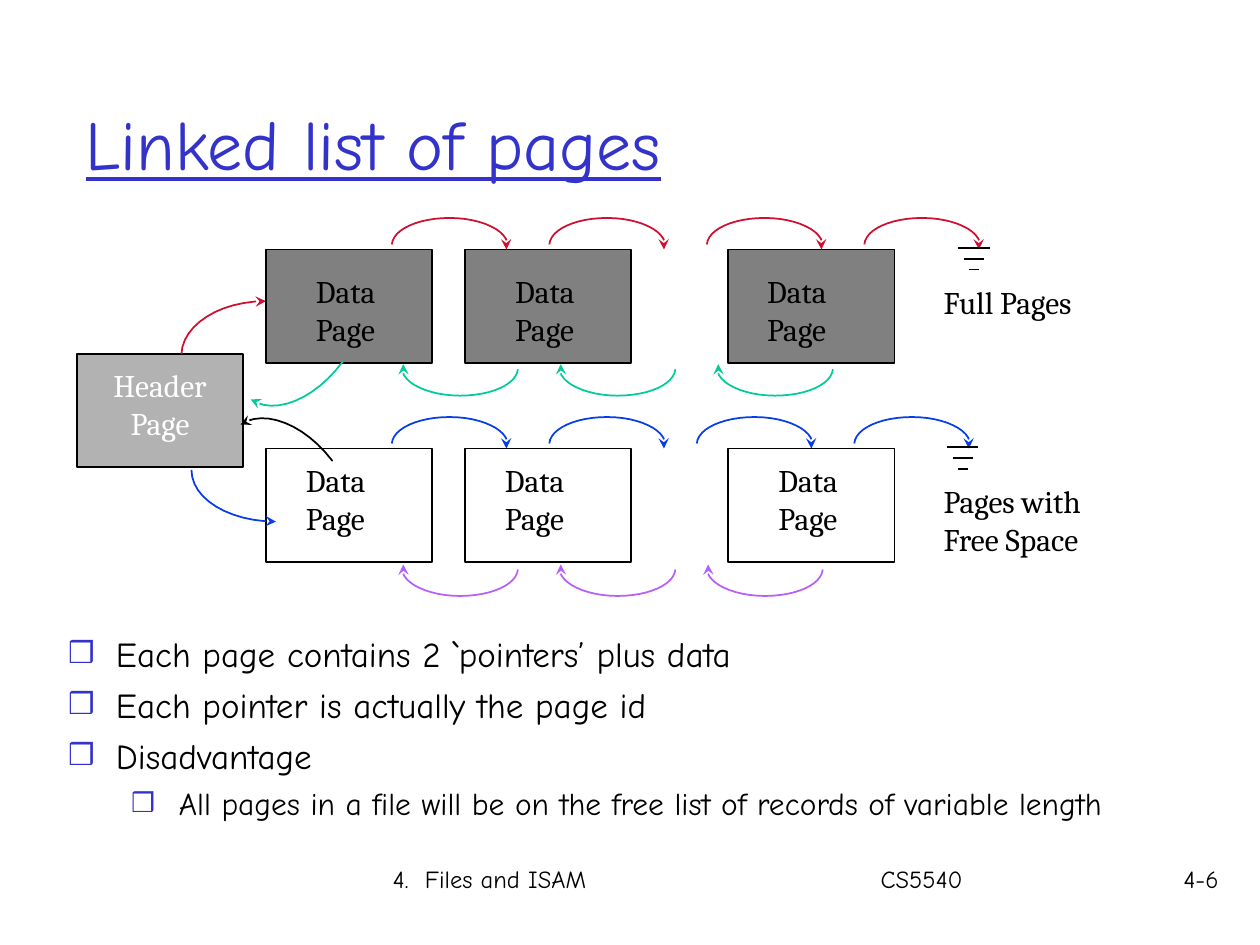
"""Build the slide that explains a heap file kept as linked lists of pages."""
import lxml.etree
import pptx
import pptx.dml.color
import pptx.enum.shapes
import pptx.enum.text
import pptx.oxml.ns
import pptx.util

Inches = pptx.util.Inches
Pt = pptx.util.Pt
RGBColor = pptx.dml.color.RGBColor
qn = pptx.oxml.ns.qn
ALIGN = pptx.enum.text.PP_ALIGN
RECTANGLE = pptx.enum.shapes.MSO_SHAPE.RECTANGLE
STRAIGHT = pptx.enum.shapes.MSO_CONNECTOR.STRAIGHT

COLORS = {
    "black": "000000", "white": "FFFFFF", "title": "3333CC",
    "full": "808080", "header": "B2B2B2", "red": "CF0E30",
    "green": "00CC99", "blue": "063DE8", "purple": "B760F9",
}
COLORS = {name: RGBColor.from_string(value) for name, value in COLORS.items()}
PAGE_WIDTH, PAGE_HEIGHT = 1.32, 0.9
PAGE_LEFTS = [2.11, 3.69, 5.78]
ARC_WIDTH, ARC_HEIGHT = 0.92, 0.25
ARC = [(0, 0.21), (0.01, 0.09), (0.21, 0), (0.46, 0), (0.71, 0),
       (0.92, 0.1), (0.92, 0.22), (0.92, 0.23), (0.92, 0.24), (0.91, 0.25)]


def write_text(frame, text, size=18, font="Cambria", color="black",
               align=ALIGN.LEFT, underline=None):
    """Fill a text frame with one formatted paragraph per line of text."""
    frame.text = text
    for paragraph in frame.paragraphs:
        paragraph.alignment = align
        for run in paragraph.runs:
            run.font.size = Pt(size)
            run.font.name = font
            run.font.color.rgb = COLORS[color]
            run.font.underline = underline


def draw_pointer(points, color, steps=12):
    """Draw an arrow along joined cubic curves."""
    track = [points[0]]
    for first in range(0, len(points) - 1, 3):
        curve = points[first:first + 4]
        for step in range(1, steps + 1):
            t = step / steps
            weights = [(1 - t) ** 3, 3 * t * (1 - t) ** 2, 3 * t * t * (1 - t), t ** 3]
            track.append([sum(w * point[axis] for w, point in zip(weights, curve))
                          for axis in (0, 1)])
    track = [(Inches(x), Inches(y)) for x, y in track]
    builder = slide.shapes.build_freeform(*track[0])
    builder.add_line_segments(track[1:], close=False)
    shape = builder.convert_to_shape()
    shape.shadow.inherit = False
    shape.fill.background()
    shape.line.color.rgb = COLORS[color]
    shape.line.width = Pt(1)
    line = shape._element.spPr.find(qn("a:ln"))
    lxml.etree.SubElement(line, qn("a:tailEnd"), type="stealth")


presentation = pptx.Presentation()
presentation.slide_width, presentation.slide_height = Inches(10), Inches(7.5)
slide = presentation.slides.add_slide(presentation.slide_layouts[1])

title, body = slide.placeholders
title.left, title.top, title.width, title.height = map(Inches, (0.58, 0.51, 8.5, 1.24))
title.text_frame.vertical_anchor = pptx.enum.text.MSO_ANCHOR.MIDDLE
write_text(title.text_frame, "Linked list of pages", size=40, font="Comic Neue",
           color="title", underline=True)

body.left, body.top, body.width, body.height = map(Inches, (0.44, 4.97, 8.76, 1.87))
body.text_frame.auto_size = pptx.enum.text.MSO_AUTO_SIZE.NONE
write_text(body.text_frame, "\n".join([
    "Each page contains 2 `pointers’ plus data",
    "Each pointer is actually the page id",
    "Disadvantage",
    "All pages in a file will be on the free list of records of variable length",
]), size=20, font="Comic Neue")
detail = body.text_frame.paragraphs[-1]
detail.level = 1
detail.runs[0].font.size = Pt(18)
for paragraph in body.text_frame.paragraphs:
    paragraph.space_before = Pt(4.5 if paragraph.level else 5)
    properties = paragraph._p.get_or_add_pPr()
    properties.set("marL", str(Inches(0.88 if paragraph.level else 0.38)))
    properties.set("indent", str(Inches(-0.38)))
    bullet_color = lxml.etree.SubElement(properties, qn("a:buClr"))
    lxml.etree.SubElement(bullet_color, qn("a:srgbClr"), val=str(COLORS["title"]))
    lxml.etree.SubElement(properties, qn("a:buSzPct"), val="85000")
    lxml.etree.SubElement(properties, qn("a:buChar"), char="❒")

pages = [(left, 1.98, "full") for left in PAGE_LEFTS]
pages += [(left, 3.56, None) for left in PAGE_LEFTS]
pages.append((0.61, 2.81, "header"))
for left, top, fill in pages:
    page = slide.shapes.add_shape(RECTANGLE, Inches(left), Inches(top),
                                  Inches(PAGE_WIDTH), Inches(PAGE_HEIGHT))
    page.shadow.inherit = False
    page.line.color.rgb = COLORS["black"]
    page.line.width = Pt(1)
    if fill:
        page.fill.solid()
        page.fill.fore_color.rgb = COLORS[fill]
    else:
        page.fill.background()

labels = [("Data\nPage", left, 2.11, 0.76, {}) for left in (2.41, 3.99, 5.99)]
labels += [("Data\nPage", left, 3.61, 0.76, {}) for left in (2.33, 3.91, 6.08)]
labels += [
    ("Header\nPage", 0.73, 2.86, 1.08, {"color": "white", "align": ALIGN.CENTER}),
    ("Full Pages", 7.39, 2.2, 1.4, {}),
    ("Pages with\nFree Space", 7.39, 3.78, 1.48, {}),
]
for text, left, top, width, text_format in labels:
    height = 0.7 if "\n" in text else 0.4
    label = slide.shapes.add_textbox(Inches(left), Inches(top), Inches(width), Inches(height))
    label.text_frame.word_wrap = False
    label.text_frame.auto_size = pptx.enum.text.MSO_AUTO_SIZE.SHAPE_TO_FIT_TEXT
    write_text(label.text_frame, text, **text_format)

chains = [
    (1.73, 2.89, [3.11, 4.36, 5.61, 6.86], "red", "green"),
    (3.31, 4.48, [3.11, 4.36, 5.53, 6.78], "blue", "purple"),
]
for next_top, previous_top, lefts, next_color, previous_color in chains:
    for left in lefts:
        draw_pointer([(left + x, next_top + y) for x, y in ARC], next_color)
    for left in lefts[:-1]:
        right, bottom = left + 0.08 + ARC_WIDTH, previous_top + ARC_HEIGHT
        draw_pointer([(right - x, bottom - y) for x, y in ARC], previous_color)

draw_pointer([(1.44, 2.81), (1.45, 2.58), (1.74, 2.39), (2.11, 2.39)], "red")
draw_pointer([(2.72, 2.87), (2.5, 3.17), (2.18, 3.3), (1.99, 3.17)], "green")
draw_pointer([(2.64, 3.66), (2.42, 3.37), (2.1, 3.24), (1.91, 3.37)], "black")
draw_pointer([(1.52, 3.73), (1.52, 3.96), (1.82, 4.14), (2.19, 4.14)], "blue")

for center, top in [(7.73, 1.97), (7.64, 3.55)]:
    for row, width in enumerate([0.25, 0.16, 0.08]):
        y = Inches(top + row * 0.085)
        bar = slide.shapes.add_connector(STRAIGHT, Inches(center - width / 2), y,
                                         Inches(center + width / 2), y)
        bar.line.color.rgb = COLORS["black"]
        bar.line.width = Pt(1)
        lxml.etree.SubElement(bar._element.spPr, qn("a:effectLst"))

footers = [
    ("4.  Files and ISAM\tCS5540", 3.02, 5.99, ALIGN.LEFT),
    ("4-6", 9.03, 0.74, ALIGN.RIGHT),
]
for text, left, width, align in footers:
    footer = slide.shapes.add_textbox(Inches(left), Inches(6.81), Inches(width), Inches(0.5))
    footer.text_frame.word_wrap = True
    write_text(footer.text_frame, text, size=14, font="Comic Neue", align=align)
    if "\t" in text:
        properties = footer.text_frame.paragraphs[0]._p.get_or_add_pPr()
        tab_list = lxml.etree.SubElement(properties, qn("a:tabLst"))
        lxml.etree.SubElement(tab_list, qn("a:tab"), pos=str(Inches(3.87)), algn="l")

presentation.save("out.pptx")
